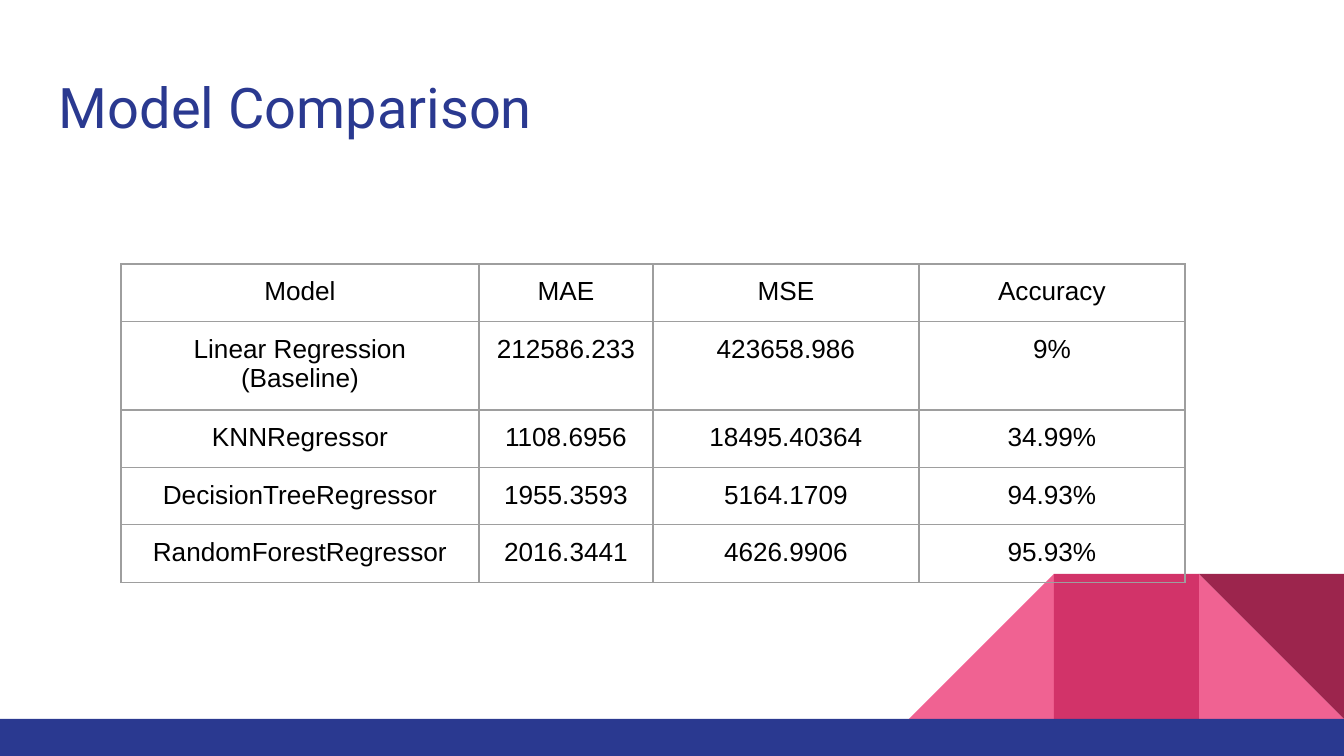
from pptx import Presentation
from pptx.dml.color import RGBColor
from pptx.enum.shapes import MSO_SHAPE
from pptx.enum.text import MSO_ANCHOR, PP_ALIGN
from pptx.oxml import parse_xml
from pptx.oxml.ns import nsdecls
from pptx.util import Pt

RECT, TRI = MSO_SHAPE.RECTANGLE, MSO_SHAPE.RIGHT_TRIANGLE
TOP, CENTER = MSO_ANCHOR.TOP, PP_ALIGN.CENTER

PX = 914400 / 134.4
WIDE, HIGH = 1344, 756
PAD = 13
COLORS = {"navy": "2A3990", "pink": "F06292", "rose": "D23369",
          "wine": "9C254D", "grid": "9E9E9E", "ink": "000000"}

TITLE = "Model Comparison"
ROWS = [
    ("Model", "MAE", "MSE", "Accuracy"),
    ("Linear Regression (Baseline)", "212586.233", "423658.986", "9%"),
    ("KNNRegressor", "1108.6956", "18495.40364", "34.99%"),
    ("DecisionTreeRegressor", "1955.3593", "5164.1709", "94.93%"),
    ("RandomForestRegressor", "2016.3441", "4626.9906", "95.93%"),
]
COLS = (358, 174, 266, 266)
ROW = 56
LEFT, HEAD = 121, 264

TILE, BAR = 145, 37
# column counted from the right edge, shape, color, flipped, rotation
TILES = [
    (1, TRI, "pink", False, 0),
    (3, TRI, "pink", True, 0),
    (2, RECT, "rose", False, 0),
    (1, TRI, "wine", False, 180),
]


def px(num):
    return round(num * PX)


def tint(name):
    return RGBColor.from_string(COLORS[name])


def block(slide, kind, box, color):
    shape = slide.shapes.add_shape(kind, *map(px, box))
    shape.shadow.inherit = False
    shape.fill.solid()
    shape.fill.fore_color.rgb = tint(color)
    shape.line.fill.background()
    return shape


def style(para, font, size, color):
    for run in para.runs:
        run.font.name = font
        run.font.size = Pt(size)
        run.font.color.rgb = tint(color)


def inset(part):
    """Give a cell or text frame equal margins on all sides."""
    part.margin_left = part.margin_right = px(PAD)
    part.margin_top = part.margin_bottom = px(PAD)


def border(cell):
    props = cell._tc.get_or_add_tcPr()
    for spot, side in enumerate(("lnL", "lnR", "lnT", "lnB")):
        line = parse_xml(
            f'<a:{side} {nsdecls("a")} w="{Pt(0.75)}"><a:solidFill>'
            f'<a:srgbClr val="{COLORS["grid"]}"/></a:solidFill></a:{side}>')
        props.insert(spot, line)


def add_decor(slide):
    base = HIGH - BAR
    for col, kind, color, flip, turn in TILES:
        box = (WIDE - col * TILE, base - TILE, TILE, TILE)
        shape = block(slide, kind, box, color)
        shape.rotation = turn
        if flip:
            shape._element.spPr.xfrm.set("flipH", "1")
    block(slide, RECT, (0, base, WIDE, BAR), "navy")


def add_title(slide):
    frame = slide.shapes.add_textbox(*map(px, (46, 60, 1252, 88))).text_frame
    frame.word_wrap = True
    frame.vertical_anchor = TOP
    inset(frame)
    frame.text = TITLE
    style(frame.paragraphs[0], "Roboto", 30, "navy")


def add_grid(slide):
    box = (LEFT, HEAD, sum(COLS), ROW * len(ROWS))
    table = slide.shapes.add_table(len(ROWS), len(COLS), *map(px, box)).table
    table.first_row = table.horz_banding = False
    for col, wide in zip(table.columns, COLS):
        col.width = px(wide)
    for row, texts in zip(table.rows, ROWS):
        row.height = px(ROW)
        for cell, text in zip(row.cells, texts):
            cell.fill.background()
            border(cell)
            inset(cell)
            cell.vertical_anchor = TOP
            para = cell.text_frame.paragraphs[0]
            para.text = text
            para.alignment = CENTER
            style(para, "Arial", 14, "ink")


def main():
    deck = Presentation()
    deck.slide_width, deck.slide_height = px(WIDE), px(HIGH)
    slide = deck.slides.add_slide(deck.slide_layouts[6])
    add_decor(slide)
    add_title(slide)
    add_grid(slide)
    deck.save("out.pptx")


if __name__ == "__main__":
    main()
